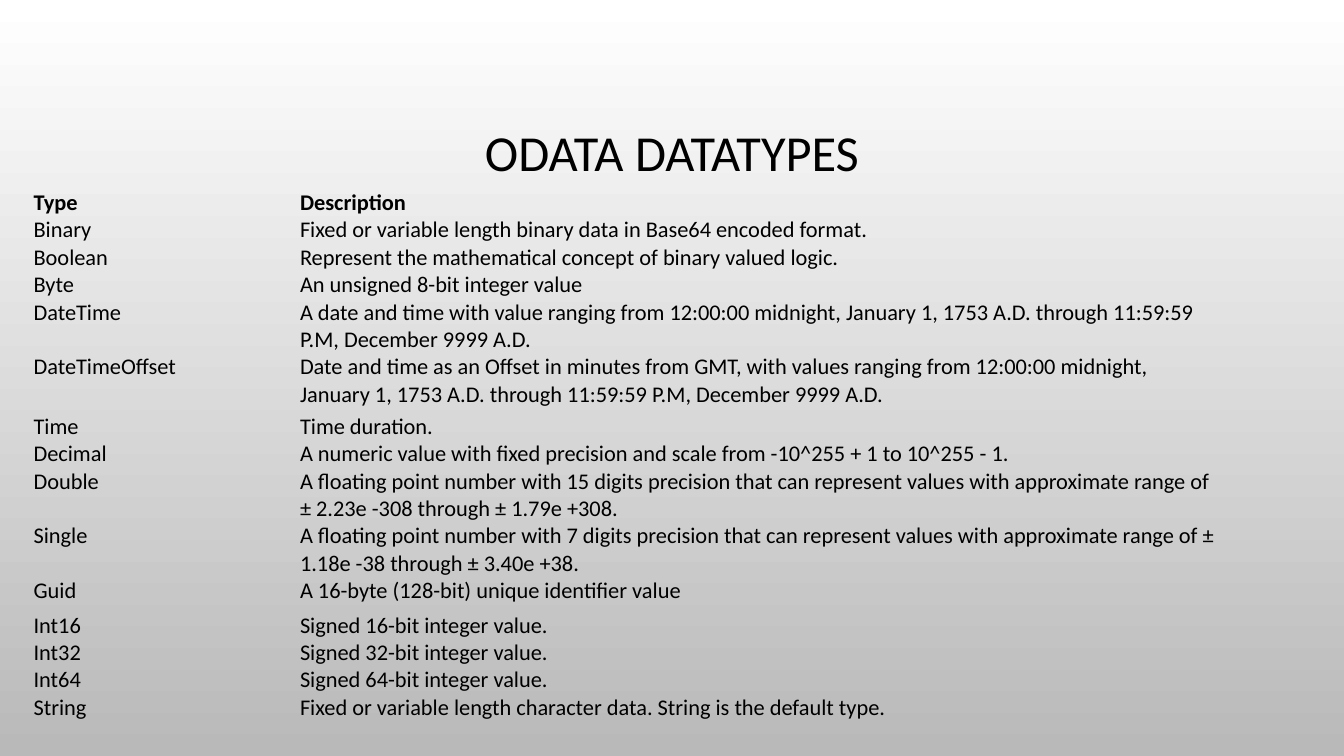
import pptx
import pptx.dml.color
import pptx.enum.text
import pptx.oxml.ns
import pptx.util


def color(value):
    return pptx.dml.color.RGBColor.from_string(value)


class DatatypeSlide:
    FONT = "Calibri"
    INK = "000000"
    PLAIN_TABLE = "{2D5ABB26-0587-4C30-8999-92F81FD0307C}"

    def __init__(self, deck):
        self.width = deck.slide_width
        self.height = deck.slide_height
        self.slide = deck.slides.add_slide(deck.slide_layouts[5])

    def box(self, left, top, width, height):
        return (
            round(left * self.width),
            round(top * self.height),
            round(width * self.width),
            round(height * self.height),
        )

    def background(self, top, bottom):
        fill = self.slide.background.fill
        fill.gradient()
        fill.gradient_angle = 270
        for stop, shade, position in zip(fill.gradient_stops, (top, bottom), (0, 1)):
            stop.color.rgb = color(shade)
            stop.position = position

    def add_words(self, frame, words, size, bold=False):
        paragraph = frame.paragraphs[0]
        run = paragraph.add_run()
        run.text = words
        run.font.name = self.FONT
        run.font.size = pptx.util.Pt(size)
        run.font.bold = bold
        run.font.color.rgb = color(self.INK)
        return paragraph

    def title(self, words, area):
        heading = self.slide.shapes.title
        heading.left, heading.top, heading.width, heading.height = self.box(*area)
        heading.text_frame.vertical_anchor = pptx.enum.text.MSO_ANCHOR.MIDDLE
        paragraph = self.add_words(heading.text_frame, words, 36)
        paragraph.alignment = pptx.enum.text.PP_ALIGN.CENTER
        paragraph.line_spacing = 0.9

    def table(self, entries, area, column_shares, row_heights):
        left, top, width, height = self.box(*area)
        grid = self.slide.shapes.add_table(
            len(entries), len(column_shares), left, top, width, height
        ).table
        grid.horz_banding = False
        grid.first_row = False
        grid._tbl.tblPr.find(pptx.oxml.ns.qn("a:tableStyleId")).text = self.PLAIN_TABLE
        for column, share in zip(grid.columns, column_shares):
            column.width = round(width * share)
        for index, entry in enumerate(entries):
            grid.rows[index].height = pptx.util.Inches(row_heights.get(entry[0], 0.25))
            for cell, words in zip(grid.rows[index].cells, entry):
                cell.fill.background()
                cell.margin_left = cell.margin_right = 0
                cell.margin_top = cell.margin_bottom = 0
                self.add_words(cell.text_frame, words, 16, bold=index == 0)


DATATYPES = [
    ("Type", "Description"),
    ("Binary", "Fixed or variable length binary data in Base64 encoded format."),
    ("Boolean", "Represent the mathematical concept of binary valued logic."),
    ("Byte", "An unsigned 8-bit integer value"),
    ("DateTime", "A date and time with value ranging from 12:00:00 midnight, "
     "January 1, 1753 A.D. through 11:59:59 P.M, December 9999 A.D."),
    ("DateTimeOffset", "Date and time as an Offset in minutes from GMT, with values "
     "ranging from 12:00:00 midnight, January 1, 1753 A.D. through 11:59:59 P.M, "
     "December 9999 A.D."),
    ("Time", "Time duration."),
    ("Decimal", "A numeric value with fixed precision and scale from "
     "-10^255 + 1 to 10^255 - 1."),
    ("Double", "A floating point number with 15 digits precision that can represent "
     "values with approximate range of ± 2.23e -308 through ± 1.79e +308."),
    ("Single", "A floating point number with 7 digits precision that can represent "
     "values with approximate range of ± 1.18e -38 through ± 3.40e +38."),
    ("Guid", "A 16-byte (128-bit) unique identifier value"),
    ("Int16", "Signed 16-bit integer value."),
    ("Int32", "Signed 32-bit integer value."),
    ("Int64", "Signed 64-bit integer value."),
    ("String", "Fixed or variable length character data. String is the default type."),
]

ROW_HEIGHTS = {
    "Type": 0.08,
    "DateTime": 0.42,
    "DateTimeOffset": 0.59,
    "Double": 0.51,
    "Single": 0.51,
    "Guid": 0.34,
    "String": 0.34,
}


def main():
    deck = pptx.Presentation()
    deck.slide_width = pptx.util.Inches(13.33)
    deck.slide_height = pptx.util.Inches(7.5)
    page = DatatypeSlide(deck)
    page.background("FFFFFF", "B9B9B9")
    page.title("ODATA DATATYPES", (0.075, 0.09, 0.85, 0.23))
    page.table(DATATYPES, (0.025, 0.25, 0.885, 0.7), (0.224, 0.776), ROW_HEIGHTS)
    deck.save("out.pptx")


if __name__ == "__main__":
    main()
